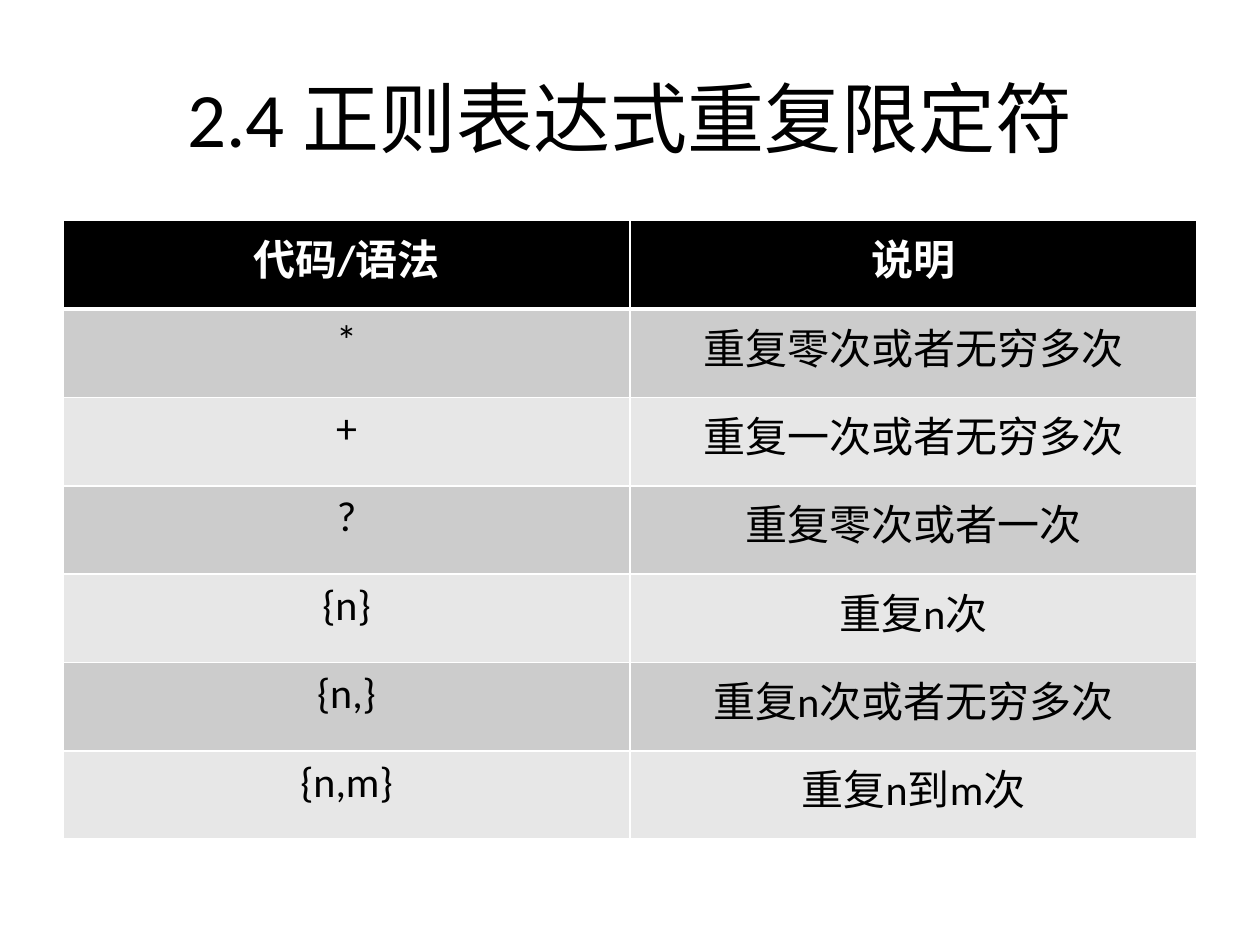
"""Build a slide with a table of regular expression quantifiers."""
from lxml import etree
from pptx import Presentation
from pptx.dml.color import RGBColor
from pptx.enum.text import MSO_ANCHOR, PP_ALIGN
from pptx.oxml.ns import qn
from pptx.util import Cm, Pt

CENTER = PP_ALIGN.CENTER
MIDDLE = MSO_ANCHOR.MIDDLE
FONT = "Calibri"
COLORS = {"black": "000000", "white": "FFFFFF", "dark": "CCCCCC", "light": "E7E7E7"}
ROWS = [
    ("代码/语法", "说明"),
    ("*", "重复零次或者无穷多次"),
    ("+", "重复一次或者无穷多次"),
    ("?", "重复零次或者一次"),
    ("{n}", "重复n次"),
    ("{n,}", "重复n次或者无穷多次"),
    ("{n,m}", "重复n到m次"),
]


def rgb(name):
    return RGBColor.from_string(COLORS[name])


def write(tf, text, size, color, bold=False):
    p = tf.paragraphs[0]
    p.text = text
    p.alignment = CENTER
    p.font.name = FONT
    p.font.size = Pt(size)
    p.font.bold = bold
    p.font.color.rgb = rgb(color)


def add_title(s, text):
    tf = s.shapes.add_textbox(Cm(1.27), Cm(0.76), Cm(22.86), Cm(3.18)).text_frame
    tf.word_wrap = True
    tf.vertical_anchor = MIDDLE
    write(tf, text, 44, "black")


def set_border(cell, side, width):
    tc_pr = cell._tc.get_or_add_tcPr()
    line = etree.SubElement(tc_pr, qn(f"a:ln{side}"), w=str(Pt(width)))
    fill = etree.SubElement(line, qn("a:solidFill"))
    etree.SubElement(fill, qn("a:srgbClr"), val=COLORS["white"])


def style_cell(cell, text, row):
    header = row == 0
    widths = {"L": 1, "R": 1, "T": 3 if row == 1 else 1, "B": 3 if header else 1}
    for side, width in widths.items():
        set_border(cell, side, width)
    cell.fill.solid()
    cell.fill.fore_color.rgb = rgb("black" if header else "dark" if row % 2 else "light")
    write(cell.text_frame, text, 24, "white" if header else "black", header)


def add_table(s, rows):
    frame = s.shapes.add_table(
        len(rows), len(rows[0]), Cm(1.27), Cm(4.45), Cm(22.86), Cm(12.47))
    for i, row in enumerate(rows):
        for j, text in enumerate(row):
            style_cell(frame.table.cell(i, j), text, i)


def main():
    prs = Presentation()
    prs.slide_width, prs.slide_height = Cm(25.4), Cm(19.05)
    s = prs.slides.add_slide(prs.slide_layouts[6])
    add_title(s, "2.4 正则表达式重复限定符")
    add_table(s, ROWS)
    prs.save("out.pptx")


main()
